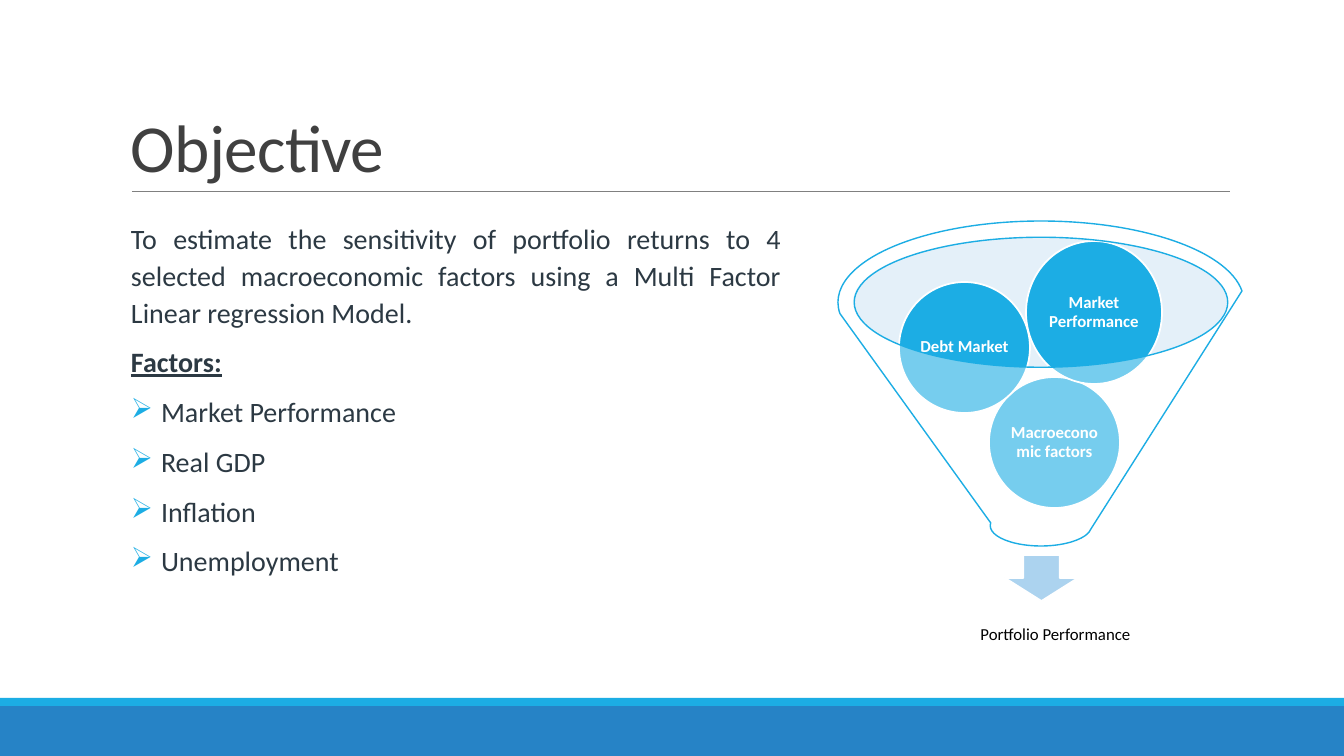
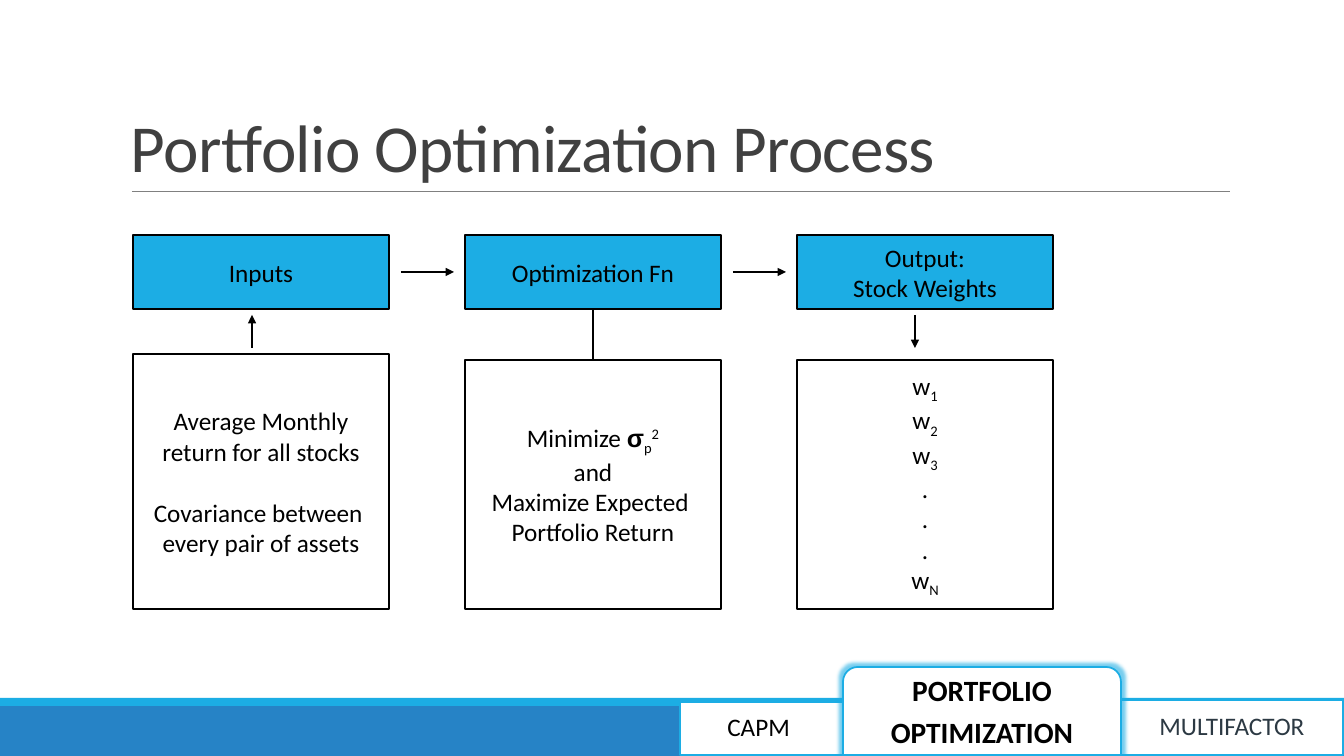
from lxml import etree
from pptx import Presentation
from pptx import util as u
from pptx.dml.color import RGBColor
from pptx.enum import shapes, text
from pptx.oxml.ns import qn

PX = u.Inches(1) / 100.8
FONT = "Calibri"
SKY = RGBColor(0x1C, 0xAD, 0xE4)
BLUE = RGBColor(0x26, 0x83, 0xC6)
PALE = RGBColor(0xBD, 0xDB, 0xF2)
ARROW = RGBColor(0xAC, 0xD3, 0xEF)
WHITE = RGBColor(0xFF, 0xFF, 0xFF)
BLACK = RGBColor(0, 0, 0)
GREY = RGBColor(0x80, 0x80, 0x80)
TITLE = RGBColor(0x40, 0x40, 0x40)
BODY = RGBColor(0x2C, 0x39, 0x43)
SHAPE = shapes.MSO_SHAPE
ALIGN = text.PP_ALIGN
ANCHOR = text.MSO_ANCHOR


def add_shape(s, kind, box, fill, line=None, width=1.25, alpha=None):
    """Add a flat preset shape; box is left, top, width, height in px."""
    sp = s.shapes.add_shape(kind, *[int(v * PX) for v in box])
    sp.shadow.inherit = False
    sp.fill.solid()
    sp.fill.fore_color.rgb = fill
    if alpha:
        colour = sp._element.spPr.find(qn("a:solidFill"))[0]
        etree.SubElement(colour, qn("a:alpha"), val=str(alpha * 1000))
    if line is None:
        sp.line.fill.background()
    else:
        sp.line.color.rgb = line
        sp.line.width = u.Pt(width)
    return sp


def write(sp, paras, size, color, bold=False, align=ALIGN.CENTER, anchor=ANCHOR.MIDDLE,
          insets=(10, 5), spacing=None, wrap=True):
    """Fill a shape with paragraphs, each a list of (text, style) runs or plain strings."""
    tf = sp.text_frame
    tf.word_wrap = wrap
    tf.vertical_anchor = anchor
    tf.margin_left = tf.margin_right = int(insets[0] * PX)
    tf.margin_top = tf.margin_bottom = int(insets[1] * PX)
    for i, runs in enumerate(paras):
        p = tf.add_paragraph() if i else tf.paragraphs[0]
        p.alignment = align
        p.line_spacing = spacing
        for run in runs:
            if run == "\n":
                p.add_line_break()
                continue
            words, style = (run, {}) if isinstance(run, str) else run
            r = p.add_run()
            r.text = words
            r.font.size = u.Pt(size)
            r.font.color.rgb = color
            r.font.name = style.get("font", FONT)
            r.font.bold = style.get("bold", bold)
            r.font.underline = style.get("underline")
            for key in ("baseline", "spc"):
                if key in style:
                    r._r.get_or_add_rPr().set(key, style[key])
    return tf


prs = Presentation()
prs.slide_width, prs.slide_height = int(1344 * PX), int(756 * PX)

# Shared bands, title and rule
slides, lines = [], []
for title in ("Objective", "Portfolio Optimization Process"):
    s = prs.slides.add_slide(prs.slide_layouts[6])
    add_shape(s, SHAPE.RECTANGLE, (0, 706, 1344, 50), BLUE)
    add_shape(s, SHAPE.RECTANGLE, (0, 698, 1344, 8), SKY)
    sp = s.shapes.add_textbox(*[int(v * PX) for v in (121, 31, 1109, 160)])
    write(sp, [[(title, {"spc": "-50"})]], 48, TITLE, align=ALIGN.LEFT,
          anchor=ANCHOR.BOTTOM, spacing=0.85)
    lines.append((s, 132, 191, 1230, 191, GREY, 0.5, False))
    slides.append(s)
objective, process = slides

# Objective: body text
factors = ["Market Performance", "Real GDP", "Inflation", "Unemployment"]
sp = objective.shapes.add_textbox(*[int(v * PX) for v in (131, 213, 650, 422)])
tf = write(sp, [["To estimate the sensitivity of portfolio returns to 4 selected macroeconomic "
                 "factors using a Multi Factor Linear regression Model."],
                [("Factors:", {"bold": True, "underline": True})]] + [[f] for f in factors],
           20, BODY, align=ALIGN.JUSTIFY, anchor=ANCHOR.TOP, insets=(0, 5), spacing=0.9)
tf.paragraphs[0].line_spacing = 1.1
for i, p in enumerate(tf.paragraphs):
    p.space_before, p.space_after = u.Pt(12), u.Pt(2)
    if i >= 2:
        pPr = p._p.get_or_add_pPr()
        pPr.set("marL", str(int(30 * PX)))
        pPr.set("indent", str(int(-30 * PX)))
        colour = etree.SubElement(pPr, qn("a:buClr"))
        etree.SubElement(colour, qn("a:srgbClr"), val=str(SKY))
        etree.SubElement(pPr, qn("a:buChar"), char="➢")

# Objective: funnel
add_shape(objective, SHAPE.OVAL, (853, 237, 374, 130), PALE, alpha=40)
add_shape(objective, SHAPE.DOWN_ARROW, (1005, 555, 73, 46), ARROW, WHITE)
sp = objective.shapes.add_textbox(*[int(v * PX) for v in (882, 592, 347, 86)])
write(sp, [["Portfolio Performance"]], 12, BLACK, insets=(9, 9), spacing=0.9)
for label, box in (("Macroeconomic factors", (989, 377, 131, 131)),
                   ("Debt Market", (899, 282, 131, 131)),
                   ("Market Performance", (1026, 241, 136, 143))):
    sp = add_shape(objective, SHAPE.OVAL, box, SKY, WHITE)
    write(sp, [[label]], 12, WHITE, bold=True, insets=(2, 2), spacing=0.9)
add_shape(objective, SHAPE.FUNNEL, (838, 221, 406, 325), WHITE, SKY, 1, alpha=40)

# Process: three columns, each a header above a detail box
SUB, SUP = {"baseline": "-25000"}, {"baseline": "30000"}
SIGMA = {"font": "Arial", "bold": True}
weights = [["w", (n, SUB)] for n in "123"] + [["."]] * 3 + [["w", ("N", SUB)]]
columns = [
    ([["Inputs"]], 354,
     [["Average Monthly", "\n", "return for all stocks"],
      ["Covariance between ", "\n", "every pair of assets"]]),
    ([["Optimization Fn"]], 360,
     [["Minimize ", ("σ", SIGMA), ("p", SUB), ("2", SUP)], ["and"],
      ["Maximize Expected ", "\n", "Portfolio Return"]]),
    ([["Output:"], ["Stock Weights"]], 360, weights),
]
headers, details = [], []
for i, (heading, top, detail) in enumerate(columns):
    left = 133 + 332 * i
    sp = add_shape(process, SHAPE.RECTANGLE, (left, 235, 256, 74), SKY, BLACK, 1)
    write(sp, heading, 18, BLACK, wrap=False)
    headers.append(sp)
    sp = add_shape(process, SHAPE.RECTANGLE, (left, top, 256, 609 - top), WHITE, BLACK)
    write(sp, detail, 18, BLACK, wrap=False)
    details.append(sp)
    if i < 2:
        lines.append((process, left + 268, 272, left + 321, 272, BLACK, 2, True))
details[0].text_frame.paragraphs[1].space_before = u.Pt(22)

# Rules, arrows and the joining line
lines += [(process, 252, 348, 252, 315, BLACK, 2, True),
          (process, 915, 315, 915, 348, BLACK, 2, True),
          (process, 593, 309, 593, 360, BLACK, 1, False)]
for s, x1, y1, x2, y2, color, width, arrow in lines:
    c = s.shapes.add_connector(shapes.MSO_CONNECTOR.STRAIGHT,
                               *[int(v * PX) for v in (x1, y1, x2, y2)])
    c.line.color.rgb = color
    c.line.width = u.Pt(width)
    if arrow:
        etree.SubElement(c.get_or_add_ln(), qn("a:tailEnd"), type="triangle")
    etree.SubElement(c._element.spPr, qn("a:effectLst"))
c.begin_connect(headers[1], 2)
c.end_connect(details[1], 0)

# Process: section tabs
for kind, box, labels, size, color, active in (
        (SHAPE.RECTANGLE, (680, 702, 163, 53), ["CAPM "], 18, BLACK, False),
        (SHAPE.RECTANGLE, (1121, 700, 222, 55), ["MULTIFACTOR"], 18, BODY, False),
        (SHAPE.ROUND_2_SAME_RECTANGLE, (843, 667, 278, 88),
         ["PORTFOLIO", "OPTIMIZATION"], 21, BLACK, True)):
    sp = add_shape(process, kind, box, WHITE, SKY)
    tf = write(sp, [[label] for label in labels], size, color, bold=active,
               insets=(8, 8), spacing=0.9)
    for p in tf.paragraphs[:-1]:
        p.space_after = u.Pt(7)
    if active:
        effects = sp._element.spPr.find(qn("a:effectLst"))
        glow = etree.SubElement(effects, qn("a:glow"), rad=str(u.Pt(5)))
        colour = etree.SubElement(glow, qn("a:srgbClr"), val=str(SKY))
        etree.SubElement(colour, qn("a:alpha"), val="60000")

prs.save("out.pptx")
